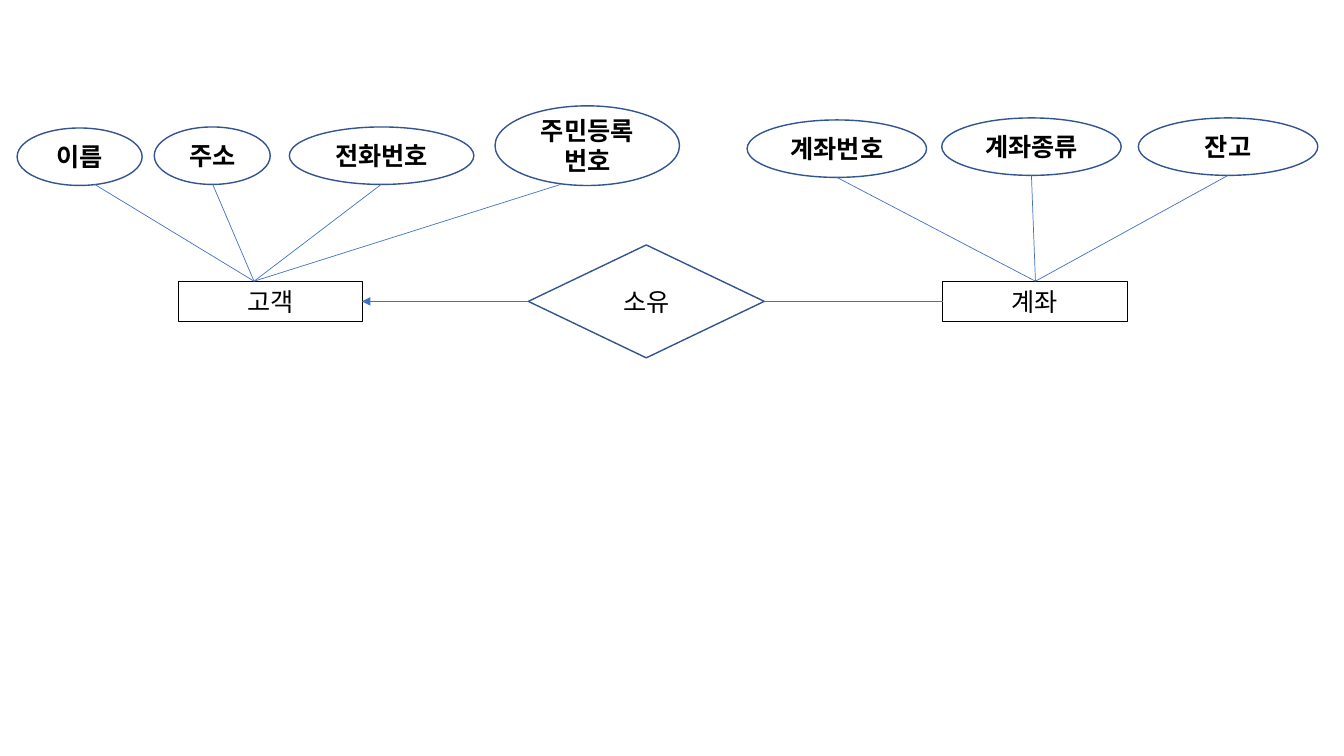
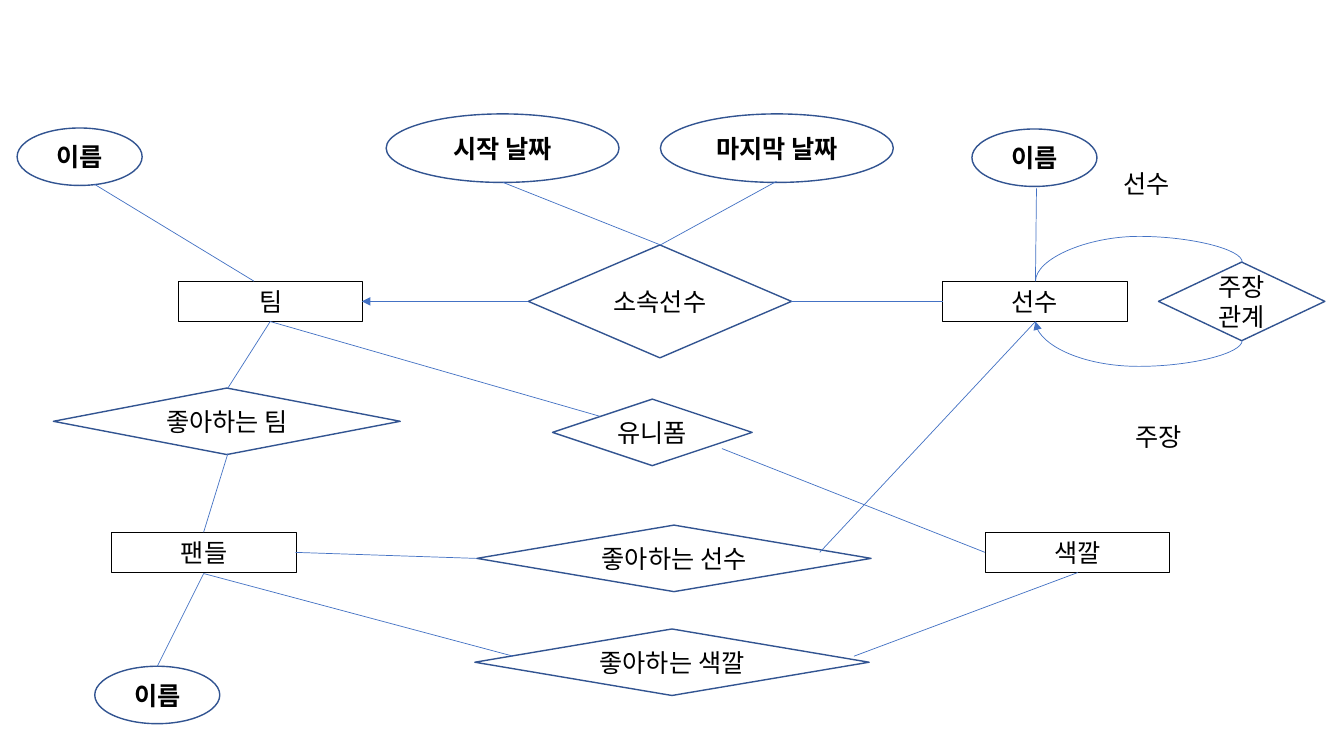
from dataclasses import dataclass
from lxml import etree
from pptx import Presentation
from pptx.dml.color import RGBColor
from pptx.enum.shapes import MSO_CONNECTOR, MSO_SHAPE
from pptx.enum.text import MSO_ANCHOR, MSO_AUTO_SIZE, PP_ALIGN
from pptx.oxml.ns import qn
from pptx.util import Inches, Pt

RECT, OVAL, DIAMOND = MSO_SHAPE.RECTANGLE, MSO_SHAPE.OVAL, MSO_SHAPE.DIAMOND
LINE, CURVE = MSO_CONNECTOR.STRAIGHT, MSO_CONNECTOR.CURVE
TOP, MIDDLE = MSO_ANCHOR.TOP, MSO_ANCHOR.MIDDLE
CENTER, GROW = PP_ALIGN.CENTER, MSO_AUTO_SIZE.SHAPE_TO_FIT_TEXT


@dataclass(frozen=True)
class Theme:
    font: str = "Noto Sans CJK KR"
    size: float = 18
    ink: RGBColor = RGBColor(0, 0, 0)
    paper: RGBColor = RGBColor(255, 255, 255)
    edge: RGBColor = RGBColor.from_string("325491")
    link: RGBColor = RGBColor.from_string("4472C4")
    frame: float = 0.75
    rim: float = 1
    thin: float = 0.5


theme = Theme()
deck = Presentation()
deck.slide_width, deck.slide_height = Inches(13.33), Inches(7.5)


def add_text(slide, words, box, form=None, bold=False):
    place = [Inches(v) for v in box]
    if form is None:
        shape = slide.shapes.add_textbox(*place)
    else:
        shape = slide.shapes.add_shape(form, *place)
        shape.shadow.inherit = False
        if form == RECT:
            shape.fill.background()
        else:
            shape.fill.solid()
            shape.fill.fore_color.rgb = theme.paper
        shape.line.color.rgb = theme.ink if form == RECT else theme.edge
        shape.line.width = Pt(theme.frame if form == RECT else theme.rim)
    frame = shape.text_frame
    frame.word_wrap = True
    frame.vertical_anchor = MIDDLE if form in (OVAL, DIAMOND) else TOP
    if form in (None, RECT):
        frame.auto_size = GROW
    para = frame.paragraphs[0]
    para.alignment = CENTER
    run = para.add_run()
    run.text = words
    font = run.font
    font.name, font.size, font.bold = theme.font, Pt(theme.size), bold
    font.color.rgb = theme.ink
    face = etree.SubElement(run._r.get_or_add_rPr(), qn("a:ea"))
    face.set("typeface", theme.font)


def add_link(slide, ends, arrow=False, bend=None):
    kind = LINE if bend is None else CURVE
    link = slide.shapes.add_connector(kind, *[Inches(v) for v in ends])
    link.line.color.rgb = theme.link
    link.line.width = Pt(theme.thin)
    props = link._element.spPr
    if arrow:
        tip = etree.SubElement(link.line._get_or_add_ln(), qn("a:tailEnd"))
        tip.set("type", "triangle")
    etree.SubElement(props, qn("a:effectLst"))
    if bend is not None:
        props.find(qn("a:xfrm")).set("rot", "5400000")
        guide = etree.SubElement(props.find(qn("a:prstGeom")).find(qn("a:avLst")), qn("a:gd"))
        guide.set("name", "adj1")
        guide.set("fmla", f"val {round(bend * 100000)}")


left, right = (2.52, 2.79), (10.27, 2.79)
team, player = (2.68, 3.19), (10.27, 3.19)
fans, group = (2.02, 5.69), (6.55, 2.43)

bank = dict(
    pair=("고객", "계좌"), bond="소유", span=2.34,
    rects=[],
    ovals=[
        ("주소", (1.53, 1.26, 1.15, 0.57)),
        ("전화번호", (2.87, 1.26, 1.83, 0.57)),
        ("주민등록번호", (4.91, 1.05, 1.83, 0.79)),
        ("계좌번호", (7.41, 1.19, 1.78, 0.57)),
        ("계좌종류", (9.34, 1.17, 1.78, 0.57)),
        ("잔고", (11.29, 1.17, 1.78, 0.57)),
    ],
    diamonds=[], labels=[],
    links=[(*left, x, 1.83) for x in (2.11, 3.78, 5.56)]
    + [(x, y, *right) for x, y in ((8.3, 1.76), (10.23, 1.74), (12.18, 1.74))],
    curves=[],
)
sport = dict(
    pair=("팀", "선수"), bond="소속선수", span=2.61,
    rects=[("팬들", (1.11, 5.28)), ("색깔", (9.77, 5.28))],
    ovals=[
        ("이름", (0.94, 6.61, 1.24, 0.57)),
        ("이름", (9.64, 1.28, 1.24, 0.57)),
        ("시작 날짜", (3.83, 1.13, 2.31, 0.68)),
        ("마지막 날짜", (6.55, 1.13, 2.31, 0.68)),
    ],
    diamonds=[
        ("주장 관계", (11.49, 2.6, 1.65, 0.78)),
        ("유니폼", (5.48, 3.96, 1.98, 0.66)),
        ("좋아하는 팀", (0.53, 3.85, 3.44, 0.66)),
        ("좋아하는 선수", (4.73, 5.21, 3.91, 0.66)),
        ("좋아하는 색깔", (4.71, 6.24, 3.91, 0.66)),
    ],
    labels=[("주장", (10.71, 4.13)), ("선수", (10.59, 1.62))],
    links=[
        (1.56, 6.61, *fans),
        (10.28, 1.87, *right),
        (*team, 5.95, 4.13),
        (7.16, 4.45, 9.77, 5.48),
        (2.93, 5.48, 4.73, 5.54),
        (8.13, 5.48, *player),
        (*team, 2.26, 3.85),
        (2.26, 4.5, 2.02, 5.28),
        (*fans, 5.09, 6.51),
        (8.47, 6.51, 10.69, 5.68),
        (4.99, 1.81, *group),
        (7.7, 1.8, *group),
    ],
    curves=[
        ((11.39, 3.72, 11.2, 1.67), False, 2.34),
        ((11.39, 2.26, 11.2, 4.31), True, -1.34),
    ],
)

for chart in (bank, sport):
    slide = deck.slides.add_slide(deck.slide_layouts[6])
    pair = zip(chart["pair"], ((1.77, 2.79), (9.35, 2.79)))
    for words, spot in [*pair, *chart["rects"]]:
        add_text(slide, words, (*spot, 1.83, 0.4), form=RECT)
    for words, box in [("이름", (0.17, 1.27, 1.24, 0.57)), *chart["ovals"]]:
        add_text(slide, words, box, form=OVAL, bold=True)
    bond = (chart["bond"], (5.24, 2.43, chart["span"], 1.12))
    for words, box in [bond, *chart["diamonds"]]:
        add_text(slide, words, box, form=DIAMOND)
    for words, spot in chart["labels"]:
        add_text(slide, words, (*spot, 1.56, 0.4))
    add_link(slide, (5.24, 2.99, 3.59, 2.99), arrow=True)
    bridge = (5.24 + chart["span"], 2.99, 9.35, 2.99)
    for ends in [bridge, (*left, 0.94, 1.83), *chart["links"]]:
        add_link(slide, ends)
    for ends, arrow, bend in chart["curves"]:
        add_link(slide, ends, arrow=arrow, bend=bend)

deck.save("out.pptx")
